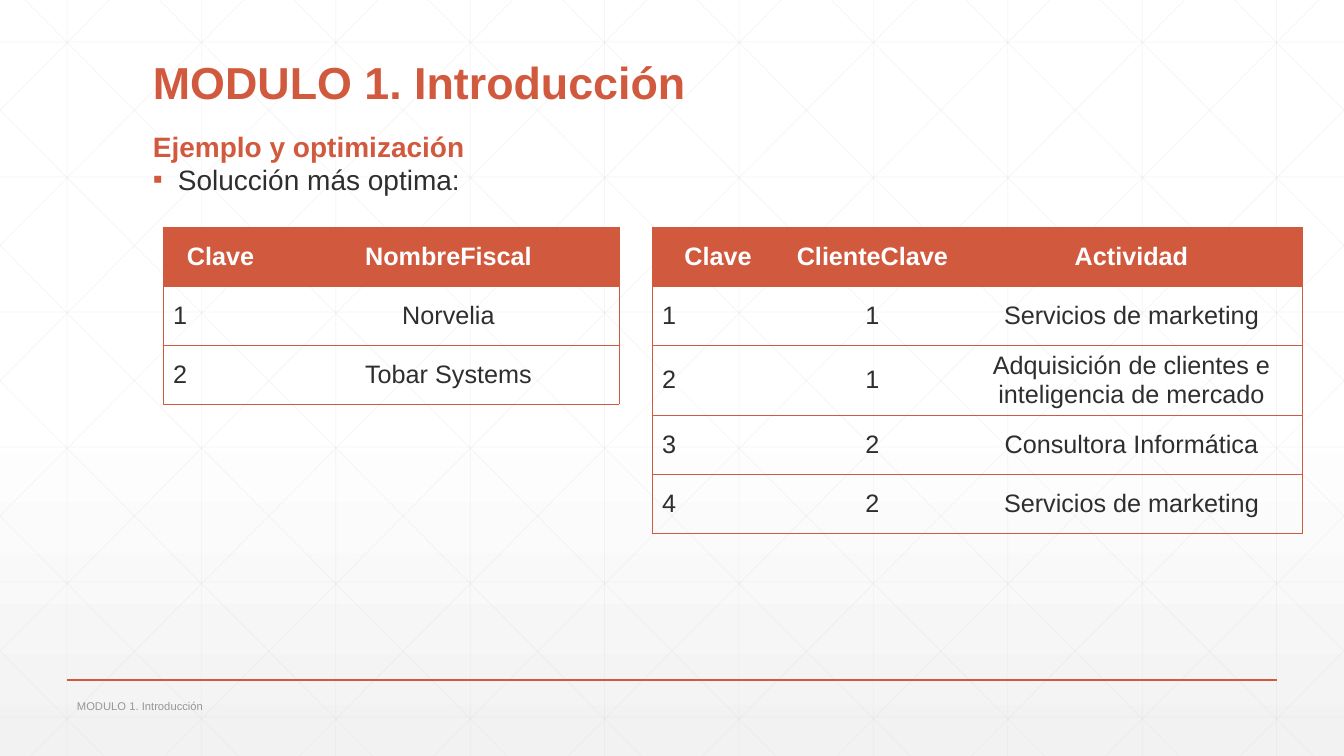
import pptx
import pptx.dml.color
import pptx.enum.shapes
import pptx.enum.text
import pptx.oxml
import pptx.oxml.ns
import pptx.util
from dataclasses import dataclass
from lxml import etree

WIDTH, HEIGHT = 1344, 756
EMU_PER_PX = 914400 / 100.8
ANCHOR = pptx.enum.text.MSO_ANCHOR
CENTER = pptx.enum.text.PP_ALIGN.CENTER


@dataclass(frozen=True)
class Theme:
    font: str = "Arial"
    accent: str = "D15A3E"
    ink: str = "2D2E2D"
    muted: str = "959795"
    grid: str = "D9D9D9"
    paper: str = "FFFFFF"
    shade: str = "F2F2F2"
    title: int = 32
    body: int = 20
    cell: int = 18
    footer: int = 8


def px(n):
    return pptx.util.Emu(round(n * EMU_PER_PX))


def rgb(value):
    return pptx.dml.color.RGBColor.from_string(value)


def assign(target, values):
    for name, value in values.items():
        setattr(target, name, value)


def add_xml(parent, tag, **attrs):
    return etree.SubElement(parent, pptx.oxml.ns.qn(tag), attrs)


class SlideBuilder:
    def __init__(self, prs, theme):
        self.theme = theme
        self.s = prs.slides.add_slide(prs.slide_layouts[6])

    def background(self):
        """Fade from paper to shade over the lower part of the slide."""
        fill = self.s.background.fill
        fill.gradient()
        fill.gradient_angle = 270
        stops = zip(fill.gradient_stops, (0.53, 1), (self.theme.paper, self.theme.shade))
        for stop, position, color in stops:
            stop.color.rgb = rgb(color)
            stop.position = position

    def line(self, x1, y1, x2, y2, color, width, opacity=100):
        straight = pptx.enum.shapes.MSO_CONNECTOR.STRAIGHT
        sp = self.s.shapes.add_connector(straight, px(x1), px(y1), px(x2), px(y2))
        sp.line.color.rgb = rgb(color)
        sp.line.width = pptx.util.Pt(width)
        spPr = sp._element.spPr
        if opacity < 100:
            clr = spPr.find(".//" + pptx.oxml.ns.qn("a:srgbClr"))
            add_xml(clr, "a:alpha", val=str(opacity * 1000))
        add_xml(spPr, "a:effectLst")

    def lattice(self):
        """Square grid with both diagonals, clipped at the slide edges."""
        pitch_x, pitch_y, run = 134.4, 135, 751
        style = (self.theme.grid, 0.5, 25)
        for i in range(10):
            x = 67 + i * pitch_x
            self.line(x, 0, x, HEIGHT, *style)
        for i in range(6):
            y = 42 + i * pitch_y
            self.line(0, y, WIDTH, y, *style)
        for i in range(-5, 10):
            start = 25 + i * pitch_x
            x1, x2 = max(start, 0), min(start + run, WIDTH)
            y1, y2 = ((x - start) * HEIGHT / run for x in (x1, x2))
            self.line(x1, y1, x2, y2, *style)
            self.line(WIDTH - x1, y1, WIDTH - x2, y2, *style)

    def put_text(self, tf, text, size, color, bold=False, **paragraph):
        p = tf.paragraphs[0]
        assign(p, paragraph)
        r = p.add_run()
        r.text = text
        assign(r.font, {"name": self.theme.font, "size": pptx.util.Pt(size), "bold": bold})
        r.font.color.rgb = rgb(color)
        return p

    def text(self, box, text, size, color, anchor=ANCHOR.TOP, **style):
        tf = self.s.shapes.add_textbox(*map(px, box)).text_frame
        assign(tf, {"word_wrap": True, "vertical_anchor": anchor})
        return self.put_text(tf, text, size, color, **style)

    def bullet(self, p, mark):
        pPr = p._p.get_or_add_pPr()
        pPr.set("marL", str(px(25)))
        pPr.set("indent", str(px(-25)))
        add_xml(add_xml(pPr, "a:buClr"), "a:srgbClr", val=self.theme.accent)
        add_xml(pPr, "a:buFont", typeface=self.theme.font)
        add_xml(pPr, "a:buChar", char=mark)

    def borders(self, cell, sides):
        """Rule the given sides (of L, R, T, B) and leave the others open."""
        tcPr = cell._tc.get_or_add_tcPr()
        for i, side in enumerate("LRTB"):
            ln = add_xml(tcPr, f"a:ln{side}", w="6350")
            if side in sides:
                add_xml(add_xml(ln, "a:solidFill"), "a:srgbClr", val=self.theme.accent)
            else:
                add_xml(ln, "a:noFill")
            tcPr.insert(i, ln)

    def table(self, x, y, widths, row_height, rows):
        """Outlined table with a filled header and left-aligned keys."""
        t = self.theme
        table = self.s.shapes.add_table(
            len(rows), len(widths), px(x), px(y),
            px(sum(widths)), px(row_height * len(rows))).table
        assign(table, {"first_row": False, "horz_banding": False})
        for column, width in zip(table.columns, widths):
            column.width = px(width)
        for i, row in enumerate(rows):
            table.rows[i].height = px(row_height)
            header = i == 0
            for j, text in enumerate(row):
                cell = table.cell(i, j)
                cell.vertical_anchor = ANCHOR.MIDDLE
                if header:
                    cell.fill.solid()
                    cell.fill.fore_color.rgb = rgb(t.accent)
                else:
                    cell.fill.background()
                self.put_text(cell.text_frame, text, t.cell, t.paper if header else t.ink,
                              bold=header, alignment=CENTER if header or j else None)
                outer = ("L" if j == 0 else "") + ("R" if j == len(row) - 1 else "")
                self.borders(cell, "TB" + outer)


def main():
    prs = pptx.Presentation()
    assign(prs, {"slide_width": px(WIDTH), "slide_height": px(HEIGHT)})
    t = Theme()
    slide = SlideBuilder(prs, t)
    slide.background()
    slide.lattice()
    slide.line(67, 680, 1277, 680, t.accent, 1)

    heading = "MODULO 1. Introducción"
    slide.text((143, 43, 1058, 71), heading, t.title, t.accent,
               ANCHOR.BOTTOM, bold=True, line_spacing=0.9)
    slide.text((143, 98, 1058, 71), "Ejemplo y optimización", t.body, t.accent,
               ANCHOR.BOTTOM, bold=True, line_spacing=0.9)
    point = slide.text((143, 161, 1058, 55), "Solucción más optima:", t.body, t.ink,
                       line_spacing=0.9)
    slide.bullet(point, "▪")
    slide.text((67, 694, 675, 24), heading, t.footer, t.muted, ANCHOR.MIDDLE)

    slide.table(163, 227, (115, 341), 59, [
        ("Clave", "NombreFiscal"),
        ("1", "Norvelia"),
        ("2", "Tobar Systems"),
    ])
    slide.table(652, 227, (132, 177, 341), 59, [
        ("Clave", "ClienteClave", "Actividad"),
        ("1", "1", "Servicios de marketing"),
        ("2", "1", "Adquisición de clientes e inteligencia de mercado"),
        ("3", "2", "Consultora Informática"),
        ("4", "2", "Servicios de marketing"),
    ])
    prs.save("out.pptx")


if __name__ == "__main__":
    main()
